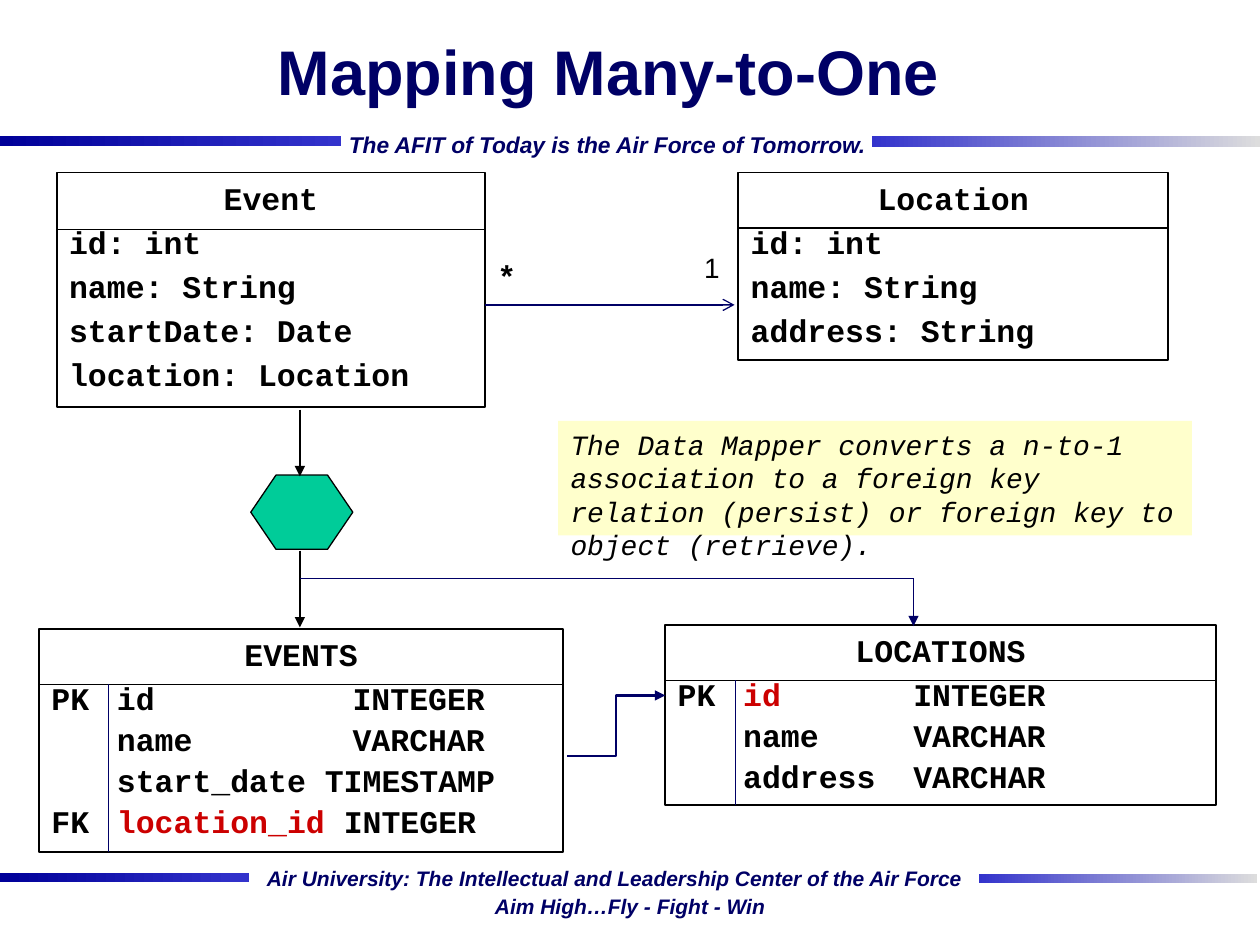
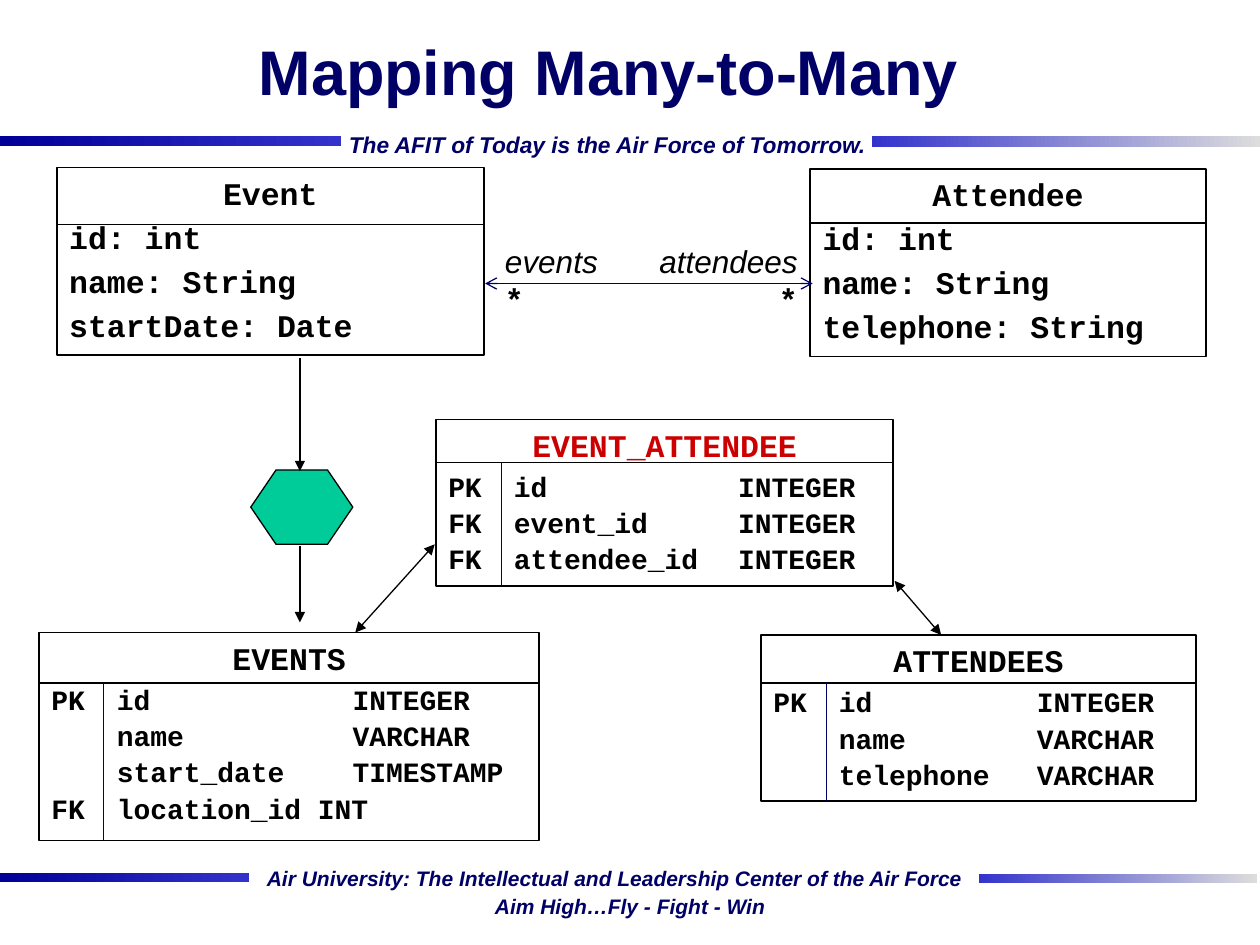
"""Build two slides on mapping object associations to database tables."""
from dataclasses import dataclass

from lxml.etree import SubElement
from pptx import Presentation
from pptx.dml.color import RGBColor
from pptx.enum.shapes import MSO_CONNECTOR, MSO_SHAPE
from pptx.enum.text import MSO_ANCHOR, PP_ALIGN
from pptx.oxml.ns import qn
from pptx.util import Inches, Pt

NAVY = RGBColor(0x00, 0x00, 0x66)
DEEP_BLUE = RGBColor(0x00, 0x00, 0x99)
BLUE = RGBColor(0x33, 0x33, 0xCC)
SILVER = RGBColor(0xDD, 0xDD, 0xDD)
BLACK = RGBColor(0x00, 0x00, 0x00)
RED = RGBColor(0xCC, 0x00, 0x00)
GREEN = RGBColor(0x00, 0xCC, 0x99)
CREAM = RGBColor(0xFF, 0xFF, 0xCC)
SANS = "Arial"
MONO = "Courier New"

RECTANGLE = MSO_SHAPE.RECTANGLE
HEXAGON = MSO_SHAPE.HEXAGON
STRAIGHT = MSO_CONNECTOR.STRAIGHT
ELBOW = MSO_CONNECTOR.ELBOW
LEFT, CENTER, RIGHT = PP_ALIGN.LEFT, PP_ALIGN.CENTER, PP_ALIGN.RIGHT
TOP, MIDDLE = MSO_ANCHOR.TOP, MSO_ANCHOR.MIDDLE

SLIDE_WIDTH, SLIDE_HEIGHT = Inches(10), Inches(7.5)
COLUMNS, ROWS = 100, 75
TITLE_ONLY = 5


@dataclass(frozen=True)
class Area:
    """A rectangle in grid columns and rows."""
    left: float
    top: float
    width: float
    height: float

    def lengths(self) -> tuple[int, int, int, int]:
        """Return left, top, width and height as slide lengths."""
        return (column(self.left), row(self.top),
                column(self.width), row(self.height))


@dataclass(frozen=True)
class Style:
    """The look of a run of text."""
    size: float = 18
    font: str = MONO
    color: RGBColor = BLACK
    bold: bool = True
    italic: bool = False


@dataclass(frozen=True)
class Band:
    """A gradient bar of the template."""
    area: Area
    start: RGBColor
    end: RGBColor


@dataclass(frozen=True)
class Motto:
    """A one-line slogan of the template."""
    area: Area
    text: str
    size: float


@dataclass(frozen=True)
class ClassBox:
    """A class with its attributes."""
    area: Area
    name: str
    attributes: tuple[str, ...]
    rule: float


@dataclass(frozen=True)
class TableBox:
    """A database table with a key column, names and types."""
    area: Area
    name: str
    fields: tuple[str, ...]
    rule: float
    divider: float
    type_tab: float
    size: float = 18
    highlight: str = ""


@dataclass(frozen=True)
class Link:
    """A line between two grid points."""
    start: tuple[float, float]
    end: tuple[float, float]
    color: RGBColor = BLACK
    width: float = 0.75
    head: str = ""
    tail: str = ""
    kind: MSO_CONNECTOR = STRAIGHT


KEY_TAB = 5.2
TITLE_AREA = Area(5.8, 0, 85, 11.2)
TITLE_STYLE = Style(36, SANS, NAVY)
CODE = Style()
ROLE = Style(18, SANS, bold=False, italic=True)
BANDS = (
    Band(Area(0, 10.8, 27.1, 0.8), DEEP_BLUE, BLUE),
    Band(Area(69.2, 10.8, 30.8, 0.9), BLUE, SILVER),
    Band(Area(0, 69.3, 19.8, 0.7), DEEP_BLUE, BLUE),
    Band(Area(77.7, 69.4, 22.1, 0.7), BLUE, SILVER),
)
MOTTOS = (
    Motto(Area(26.7, 9.9, 43.5, 3.1), "The AFIT of Today is the Air Force of Tomorrow.", 13),
    Motto(Area(20.2, 68.2, 57.6, 2.9),
          "Air University: The Intellectual and Leadership Center of the Air Force", 12),
    Motto(Area(38.3, 70.4, 23.6, 2.9), "Aim High…Fly - Fight - Win", 12),
)


def column(value: float) -> int:
    """Convert grid columns to a length."""
    return round(SLIDE_WIDTH * value / COLUMNS)


def row(value: float) -> int:
    """Convert grid rows to a length."""
    return round(SLIDE_HEIGHT * value / ROWS)


def add_run(paragraph, text: str, style: Style, color: RGBColor | None = None) -> None:
    """Add one formatted run."""
    run = paragraph.add_run()
    run.text = text
    font = run.font
    font.name, font.size = style.font, Pt(style.size)
    font.bold, font.italic = style.bold, style.italic
    font.color.rgb = color or style.color


def add_paragraph(frame, text: str, style: Style, align=LEFT, space: int = 0,
                  tabs: tuple[float, ...] = (), highlight: str = "") -> None:
    """Add a line with space before in percent, tab stops and a red part."""
    first = frame.paragraphs[0]
    paragraph = frame.add_paragraph() if first.runs else first
    paragraph.alignment = align
    properties = paragraph._p.get_or_add_pPr()
    before = SubElement(properties, qn("a:spcBef"))
    SubElement(before, qn("a:spcPct"), val=str(space * 1000))
    if tabs:
        stops = SubElement(properties, qn("a:tabLst"))
        for tab in tabs:
            SubElement(stops, qn("a:tab"), pos=str(column(tab)), algn="l")
    prefix, found, suffix = text.partition(highlight) if highlight else (text, "", "")
    for part, color in ((prefix, None), (found, RED), (suffix, None)):
        if part:
            add_run(paragraph, part, style, color)


def add_box(slide, area: Area, fill: RGBColor | None = None, line: float = 0,
            kind: MSO_SHAPE = RECTANGLE):
    """Add a plain shape whose text starts at its top."""
    shape = slide.shapes.add_shape(kind, *area.lengths())
    shape.shadow.inherit = False
    if fill is None:
        shape.fill.background()
    else:
        shape.fill.solid()
        shape.fill.fore_color.rgb = fill
    if line:
        shape.line.color.rgb = BLACK
        shape.line.width = Pt(line)
    else:
        shape.line.fill.background()
    shape.text_frame.word_wrap = True
    shape.text_frame.vertical_anchor = TOP
    return shape


def add_label(slide, area: Area, wrap: bool = True):
    """Add an empty text box and return it."""
    label = slide.shapes.add_textbox(*area.lengths())
    label.text_frame.word_wrap = wrap
    return label


def add_link(slide, link: Link) -> None:
    """Draw a line with optional arrowheads."""
    (x1, y1), (x2, y2) = link.start, link.end
    connector = slide.shapes.add_connector(link.kind, column(x1), row(y1), column(x2), row(y2))
    connector.line.color.rgb = link.color
    connector.line.width = Pt(link.width)
    properties = connector.element.spPr
    outline = properties.find(qn("a:ln"))
    for tag, arrow in (("a:headEnd", link.head), ("a:tailEnd", link.tail)):
        if arrow:
            SubElement(outline, qn(tag), type=arrow)
    SubElement(properties, qn("a:effectLst"))


def add_rule(slide, area: Area, top: float) -> None:
    """Draw the line under the heading of a box."""
    add_link(slide, Link((area.left, top), (area.left + area.width, top)))


def add_class(slide, box: ClassBox) -> None:
    """Draw a class box."""
    frame = add_box(slide, box.area, line=1).text_frame
    add_paragraph(frame, box.name, CODE, CENTER, 50)
    for attribute in box.attributes:
        add_paragraph(frame, attribute, CODE, space=20)
    add_rule(slide, box.area, box.rule)


def add_database_table(slide, box: TableBox) -> None:
    """Draw a database table box."""
    frame = add_box(slide, box.area, line=1).text_frame
    tabs = (KEY_TAB, box.type_tab)
    add_paragraph(frame, box.name, CODE, CENTER, 20, tabs, box.highlight)
    for index, field in enumerate(box.fields):
        space = 10 if index else 20
        add_paragraph(frame, field, Style(box.size), LEFT, space, tabs, box.highlight)
    add_rule(slide, box.area, box.rule)
    bottom = box.area.top + box.area.height
    add_link(slide, Link((box.divider, box.rule), (box.divider, bottom), NAVY))


def add_mapper(slide, top: float, source_bottom: float) -> None:
    """Draw the mapper hexagon with the arrows into and out of it."""
    hexagon = add_box(slide, Area(19.9, top, 8.1, 5.9), GREEN, 0.75, HEXAGON)
    hexagon.adjustments[0] = 0.34
    for start, end in ((source_bottom, top + 0.1), (top + 6, top + 12.1)):
        add_link(slide, Link((23.8, start), (23.8, end), width=1, tail="triangle"))


def furnish_layout(slide) -> None:
    """Put the bands and slogans on the layout of the slide."""
    furniture = []
    for band in BANDS:
        shape = add_box(slide, band.area)
        shape.fill.gradient()
        shape.fill.gradient_angle = 0
        for stop, position, color in zip(shape.fill.gradient_stops, (0, 1),
                                         (band.start, band.end)):
            stop.position, stop.color.rgb = position, color
        furniture.append(shape)
    for motto in MOTTOS:
        label = add_label(slide, motto.area, wrap=False)
        add_paragraph(label.text_frame, motto.text, Style(motto.size, SANS, NAVY, italic=True))
        furniture.append(label)
    for shape in furniture:
        slide.slide_layout.shapes.element.append(shape.element)


def add_slide(presentation, title: str):
    """Add a slide with its formatted title."""
    slide = presentation.slides.add_slide(presentation.slide_layouts[TITLE_ONLY])
    shape = slide.shapes.title
    shape.left, shape.top, shape.width, shape.height = TITLE_AREA.lengths()
    shape.text_frame.vertical_anchor = MIDDLE
    add_paragraph(shape.text_frame, title, TITLE_STYLE, CENTER)
    return slide


def build_many_to_one(slide) -> None:
    """Draw events that share one location."""
    add_class(slide, ClassBox(Area(4.5, 13.7, 34, 18.6), "Event", (
        "id: int", "name: String", "startDate: Date", "location: Location"), 18.2))
    add_class(slide, ClassBox(Area(58.6, 13.7, 34.1, 14.9), "Location", (
        "id: int", "name: String", "address: String"), 18.1))
    add_mapper(slide, 37.7, 32.5)
    add_database_table(slide, TableBox(Area(52.8, 49.6, 43.7, 14.3), "LOCATIONS", (
        "PK\tid\tINTEGER", "\tname\tVARCHAR", "\taddress\tVARCHAR"),
        54, 58.4, 18.7, highlight="id"))
    add_database_table(slide, TableBox(Area(3.1, 49.9, 41.6, 17.7), "EVENTS", (
        "PK\tid\tINTEGER", "\tname\tVARCHAR", "\tstart_date TIMESTAMP",
        "FK\tlocation_id INTEGER"), 54.3, 8.6, 23.9, highlight="location_id"))
    for link in (
        Link((38.5, 24.2), (58.3, 24.2), NAVY, tail="arrow"),
        Link((45, 60), (52.8, 55.2), NAVY, 1.25, tail="triangle", kind=ELBOW),
        Link((23.8, 45.9), (72.5, 45.9), NAVY),
        Link((72.5, 45.9), (72.5, 49.7), NAVY, tail="triangle"),
    ):
        add_link(slide, link)
    note = add_box(slide, Area(44.3, 33.4, 50.3, 9.1), CREAM)
    add_paragraph(note.text_frame, "The Data Mapper converts a n-to-1 association to a foreign "
                  "key relation (persist) or foreign key to object (retrieve).",
                  Style(16, bold=False, italic=True), space=50)
    one = add_label(slide, Area(53.7, 19.4, 4.4, 3.7))
    add_paragraph(one.text_frame, "1", Style(16, SANS, bold=False), RIGHT, 50)
    many = add_label(slide, Area(38.5, 19.9, 4.4, 4))
    add_paragraph(many.text_frame, "*", CODE, space=50)


def build_many_to_many(slide) -> None:
    """Draw events and attendees joined by a link table."""
    add_class(slide, ClassBox(Area(4.5, 13.3, 33.9, 14.9), "Event", (
        "id: int", "name: String", "startDate: Date"), 17.8))
    add_class(slide, ClassBox(Area(64.3, 13.4, 31.4, 14.9), "Attendee", (
        "id: int", "name: String", "telephone: String"), 17.7))
    add_mapper(slide, 37.3, 28.4)
    for table in (
        TableBox(Area(60.4, 50.4, 34.5, 13.2), "ATTENDEES", (
            "PK\tid\tINTEGER", "\tname\tVARCHAR", "\ttelephone\tVARCHAR"),
            54.2, 65.6, 20.9, 16),
        TableBox(Area(3.1, 50.2, 39.7, 16.5), "EVENTS", (
            "PK\tid\tINTEGER", "\tname\tVARCHAR", "\tstart_date\tTIMESTAMP",
            "FK\tlocation_id INT"), 54.2, 8.2, 23.9, 16),
        TableBox(Area(34.6, 33.3, 36.3, 13.2), "EVENT_ATTENDEE", (
            "PK\tid\tINTEGER", "FK\tevent_id\tINTEGER", "FK\tattendee_id\tINTEGER"),
            36.7, 39.8, 23, 16, "EVENT_ATTENDEE"),
    ):
        add_database_table(slide, table)
    add_link(slide, Link((38.5, 22.5), (64.5, 22.5), NAVY, head="arrow", tail="arrow"))
    for start, end in (((34.5, 43.2), (28.2, 50.2)), ((71, 46.1), (74.7, 50.4))):
        add_link(slide, Link(start, end, head="triangle", tail="triangle"))
    for left, role, align, space in ((50, "attendees", RIGHT, 0), (39.1, "events", LEFT, 50)):
        frame = add_label(slide, Area(left, 18.7, 14.3, 7.1)).text_frame
        add_paragraph(frame, role, ROLE, align, space)
        add_paragraph(frame, "*", CODE, align)


def main() -> None:
    """Build and save the presentation."""
    presentation = Presentation()
    presentation.slide_width, presentation.slide_height = SLIDE_WIDTH, SLIDE_HEIGHT
    many_to_one = add_slide(presentation, "Mapping Many-to-One")
    furnish_layout(many_to_one)
    build_many_to_one(many_to_one)
    build_many_to_many(add_slide(presentation, "Mapping Many-to-Many"))
    presentation.save("out.pptx")


if __name__ == "__main__":
    main()
